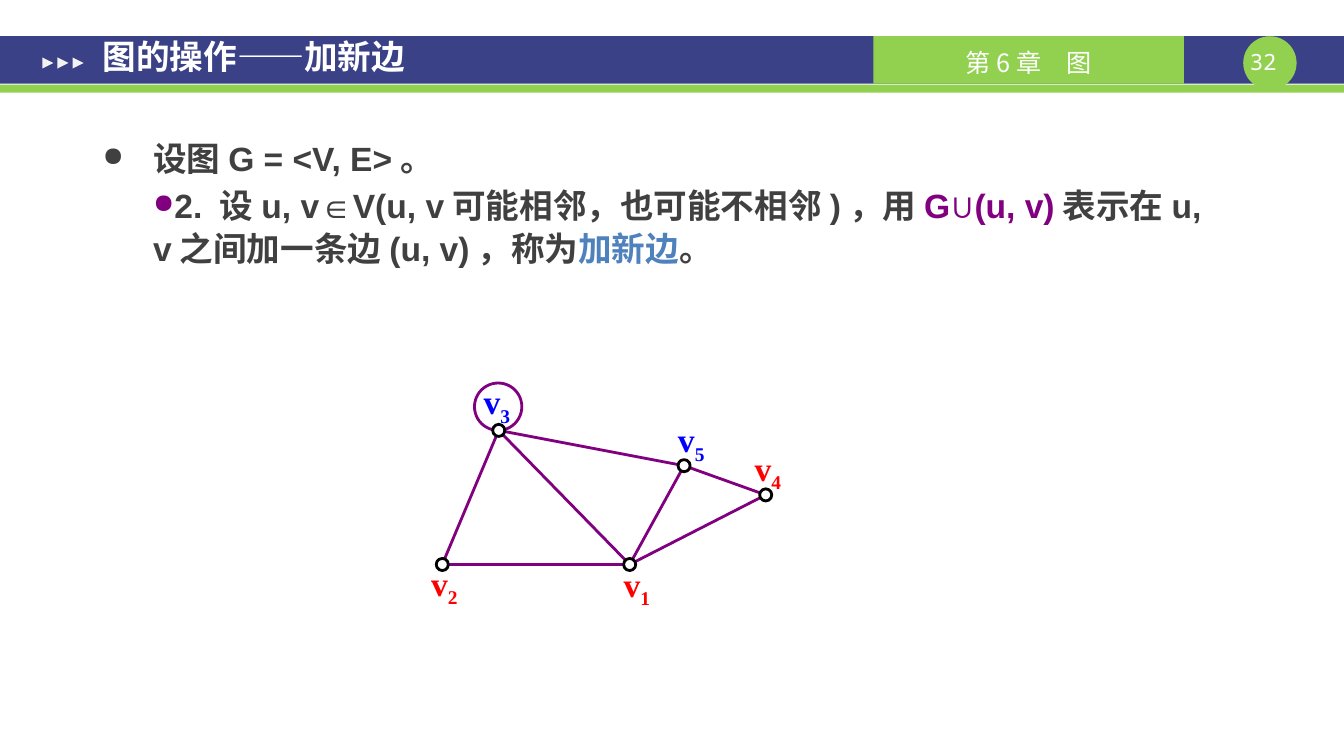
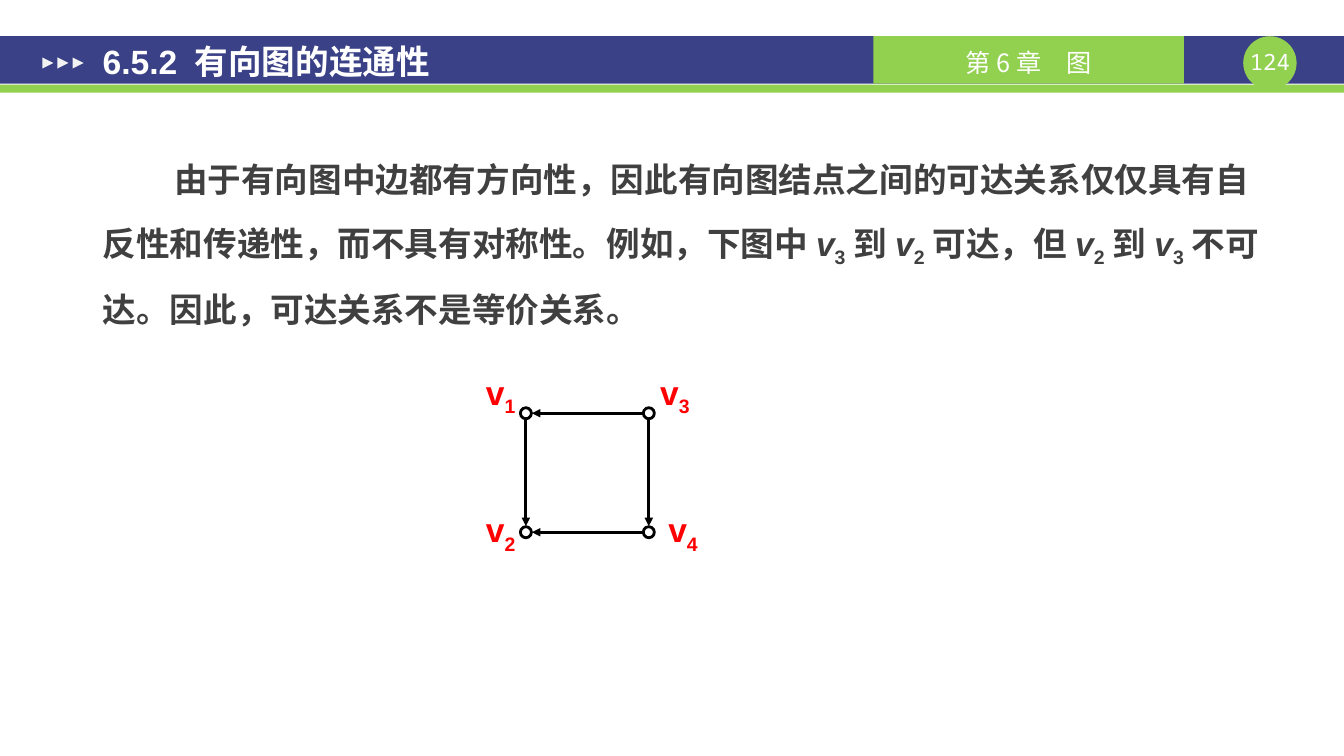
import math
from dataclasses import dataclass
from typing import Optional

from lxml import etree
from pptx import Presentation
from pptx import util as u
from pptx.dml.color import RGBColor
from pptx.enum import shapes, text
from pptx.oxml import ns

NAVY = RGBColor(0x3A, 0x41, 0x87)
GREEN = RGBColor(0x92, 0xD0, 0x50)
WHITE = RGBColor(0xFF, 0xFF, 0xFF)
PALE = RGBColor(0xF2, 0xF2, 0xF2)
GRAY = RGBColor(0x40, 0x40, 0x40)
BLACK = RGBColor(0, 0, 0)
PURPLE = RGBColor(0x80, 0, 0x80)
STEEL = RGBColor(0x4F, 0x81, 0xBD)
RED = RGBColor(0xFF, 0, 0)
BLUE = RGBColor(0, 0, 0xFF)

SANS, SERIF = "Arial", "Times New Roman"
CJK, MONO = "Noto Sans CJK SC", "Noto Sans Mono"
Align = text.PP_ALIGN
Kind = shapes.MSO_SHAPE
Point = tuple[float, float]
TEXT_MARGINS = (0.13, 0.07, 0.13, 0.07)
NO_MARGINS = (0, 0, 0, 0)


@dataclass(frozen=True)
class Span:
    words: str
    color: RGBColor = GRAY
    size: float = 24
    font: str = SANS
    bold: bool = True
    italic: bool = False
    subscript: bool = False


@dataclass(frozen=True)
class Vertex:
    center: Point
    label: Point
    color: RGBColor = RED


@dataclass(frozen=True)
class GraphStyle:
    edge_color: RGBColor
    font: str
    label_size: Point
    align: Align
    diameter: float
    clearance: float
    directed: bool = False


def add_child(parent, tag: str, **attributes: str):
    child = etree.SubElement(parent, ns.qn(tag))
    for name, value in attributes.items():
        child.set(name, value)
    return child


def add_spans(paragraph, spans: list[Span]) -> None:
    for span in spans:
        run = paragraph.add_run()
        run.text = span.words
        font = run.font
        font.name, font.size = span.font, u.Pt(span.size)
        font.bold, font.italic = span.bold, span.italic
        font.color.rgb = span.color
        properties = run._r.get_or_add_rPr()
        add_child(properties, "a:ea", typeface=CJK)
        if span.subscript:
            properties.set("baseline", "-25000")


def set_frame(frame, margins: tuple, anchor=text.MSO_ANCHOR.TOP) -> None:
    frame.word_wrap = True
    frame.vertical_anchor = anchor
    (frame.margin_left, frame.margin_top,
     frame.margin_right, frame.margin_bottom) = map(u.Inches, margins)


def add_text(slide, left: float, top: float, width: float, height: float,
             spans: list[Span], margins: tuple = NO_MARGINS,
             align: Align = Align.LEFT, anchor=text.MSO_ANCHOR.TOP):
    box = slide.shapes.add_textbox(*map(u.Inches, (left, top, width, height)))
    set_frame(box.text_frame, margins, anchor)
    paragraph = box.text_frame.paragraphs[0]
    paragraph.alignment = align
    add_spans(paragraph, spans)
    return box.text_frame


def add_block(slide, kind: Kind, left: float, top: float, width: float,
              height: float, fill: Optional[RGBColor] = None,
              outline: Optional[RGBColor] = None):
    block = slide.shapes.add_shape(
        kind, *map(u.Inches, (left, top, width, height)))
    block.shadow.inherit = False
    if fill is None:
        block.fill.background()
    else:
        block.fill.solid()
        block.fill.fore_color.rgb = fill
    if outline is None:
        block.line.fill.background()
    else:
        block.line.color.rgb = outline
        block.line.width = u.Pt(2)
    return block


def add_edge(slide, start: Point, end: Point, style: GraphStyle) -> None:
    dx, dy = end[0] - start[0], end[1] - start[1]
    share = style.clearance / math.hypot(dx, dy)
    ends = (start[0] + dx * share, start[1] + dy * share,
            end[0] - dx * share, end[1] - dy * share)
    edge = slide.shapes.add_connector(
        shapes.MSO_CONNECTOR.STRAIGHT, *map(u.Inches, ends))
    edge.line.color.rgb = style.edge_color
    edge.line.width = u.Pt(2)
    if style.directed:
        add_child(edge.line._get_or_add_ln(), "a:tailEnd", type="triangle")
    add_child(edge._element.spPr, "a:effectLst")


def add_graph(slide, vertices: dict[int, Vertex],
              edges: list[tuple[int, int]], style: GraphStyle) -> None:
    for start, end in edges:
        add_edge(slide, vertices[start].center, vertices[end].center, style)
    for number, vertex in vertices.items():
        x, y = vertex.center
        size = style.diameter
        add_block(slide, Kind.OVAL, x - size / 2, y - size / 2, size, size,
                  WHITE, BLACK)
        name = [Span("v", vertex.color, font=style.font),
                Span(str(number), vertex.color, font=style.font,
                     subscript=True)]
        add_text(slide, *vertex.label, *style.label_size, name,
                 align=style.align)


def add_page(deck, number: str, title: str, title_top: float,
             title_height: float):
    slide = deck.slides.add_slide(deck.slide_layouts[6])
    add_block(slide, Kind.RECTANGLE, 0, 0.36, 13.34, 0.47, NAVY)
    add_block(slide, Kind.RECTANGLE, 0, 0.84, 13.34, 0.08, GREEN)
    add_block(slide, Kind.OVAL, 12.34, 0.36, 0.53, 0.53, GREEN)
    add_text(slide, 12.34, 0.48, 0.53, 0.27,
             [Span(number, WHITE, 16, MONO, bold=False)], align=Align.CENTER)
    chapter = add_block(slide, Kind.RECTANGLE, 8.67, 0.36, 3.08, 0.47, GREEN)
    set_frame(chapter.text_frame, (0.1, 0.04, 0.1, 0), text.MSO_ANCHOR.MIDDLE)
    heading = chapter.text_frame.paragraphs[0]
    heading.alignment = Align.CENTER
    add_spans(heading, [Span("第6章　图", WHITE, 18, CJK, bold=False)])
    for position in range(3):
        marker = add_block(slide, Kind.ISOSCELES_TRIANGLE,
                           0.42 + 0.15 * position, 0.57, 0.11, 0.11, PALE)
        marker.rotation = 90
    add_text(slide, 0.89, title_top, 10.27, title_height, [Span(title, WHITE)],
             TEXT_MARGINS, anchor=text.MSO_ANCHOR.MIDDLE)
    return slide


def set_bullet(paragraph, indent: float, color: RGBColor) -> None:
    properties = paragraph._p.get_or_add_pPr()
    properties.set("marL", str(u.Inches(0.5)))
    properties.set("indent", str(u.Inches(indent)))
    add_child(add_child(properties, "a:buClr"), "a:srgbClr", val=str(color))
    add_child(properties, "a:buSzPct", val="80000")
    add_child(properties, "a:buChar", char="●")
    paragraph.line_spacing = 1.05


def build_new_edge(deck) -> None:
    slide = add_page(deck, "32 ", "图的操作——加新边", 0.05, 1.01)
    body = add_text(slide, 0.89, 1.28, 11.76, 2.87,
                    [Span("设图G = <V, E>。")], TEXT_MARGINS)
    set_bullet(body.paragraphs[0], -0.5, GRAY)
    definition = body.add_paragraph()
    set_bullet(definition, 0, PURPLE)
    definition.space_before = u.Pt(3.6)
    add_spans(definition, [
        Span("2. 设u, v∈V(u, v可能相邻，也可能不相邻)，用"),
        Span("G∪(u, v)", PURPLE),
        Span("表示在u,　v之间加一条边(u, v)，称为"),
        Span("加新边", STEEL),
        Span("。"),
    ])
    vertices = {
        1: Vertex((6.25, 5.6), (6.19, 5.59)),
        2: Vertex((4.39, 5.6), (4.28, 5.58)),
        3: Vertex((4.95, 4.27), (4.8, 3.78), BLUE),
        4: Vertex((7.6, 4.91), (7.49, 4.44)),
        5: Vertex((6.79, 4.62), (6.73, 4.16), BLUE),
    }
    edges = [(5, 4), (4, 1), (5, 1), (3, 1), (3, 2), (2, 1), (3, 5)]
    add_block(slide, Kind.OVAL, 4.71, 3.8, 0.47, 0.47, outline=PURPLE)
    add_graph(slide, vertices, edges,
              GraphStyle(PURPLE, SERIF, (0.36, 0.4), Align.JUSTIFY,
                         0.12, 0.05))


def build_connectivity(deck) -> None:
    slide = add_page(deck, "124 ", "6.5.2 有向图的连通性", 0.17, 0.87)
    spans = [Span("由于有向图中边都有方向性，因此有向图结点之间的可达关系仅仅具有"
                  "自反性和传递性，而不具有对称性。例如，下图中")]
    for number, following in (("3", "到"), ("2", "可达，但"), ("2", "到"),
                              ("3", "不可达。因此，可达关系不是等价关系。")):
        spans += [Span("v", italic=True), Span(number, subscript=True),
                  Span(following)]
    body = add_text(slide, 0.89, 1.31, 11.76, 2.11, spans, TEXT_MARGINS)
    explanation = body.paragraphs[0]
    explanation.line_spacing = 1.5
    explanation._p.get_or_add_pPr().set("indent", str(u.Inches(0.71)))
    left, right, upper, lower = 5.22, 6.44, 4.1, 5.28
    vertices = {
        1: Vertex((left, upper), (4.75, 3.69)),
        2: Vertex((left, lower), (4.75, 5.05)),
        3: Vertex((right, upper), (6.48, 3.69)),
        4: Vertex((right, lower), (6.56, 5.05)),
    }
    add_graph(slide, vertices, [(1, 2), (3, 1), (4, 2), (3, 4)],
              GraphStyle(BLACK, SANS, (0.44, 0.55), Align.CENTER,
                         0.11, 0.06, directed=True))


def main() -> None:
    deck = Presentation()
    deck.slide_width, deck.slide_height = u.Inches(13.34), u.Inches(7.5)
    build_new_edge(deck)
    build_connectivity(deck)
    deck.save("out.pptx")


if __name__ == "__main__":
    main()
